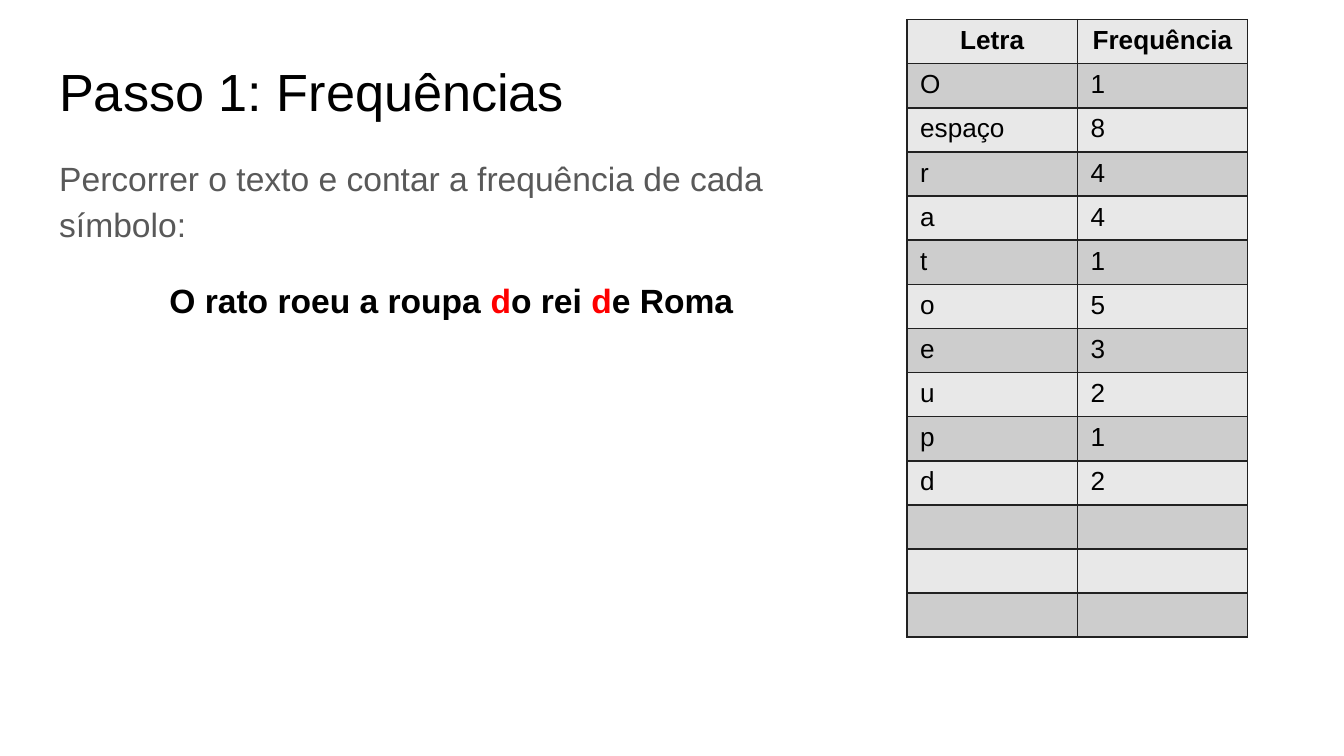
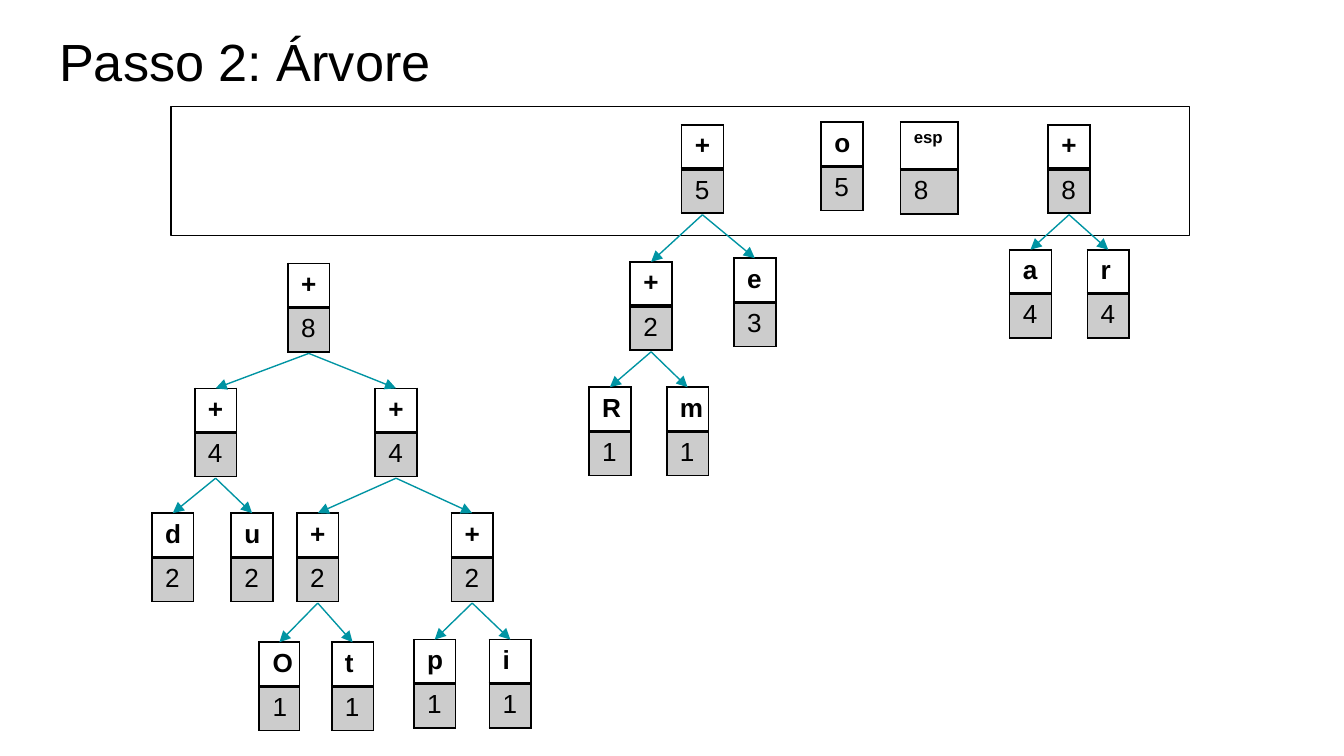
from dataclasses import dataclass

from lxml.etree import SubElement
from pptx import Presentation
from pptx.dml.color import RGBColor
from pptx.enum.shapes import MSO_CONNECTOR, MSO_SHAPE
from pptx.enum.text import MSO_ANCHOR, PP_ALIGN
from pptx.oxml.ns import qn
from pptx.util import Cm, Pt

COLORS = {
    "text": "000000",
    "body": "595959",
    "accent": "FF0000",
    "light": "E8E8E8",
    "dark": "CDCDCD",
    "grid": "212121",
    "arrow": "0094A3",
}
FONT = "Arial"
INSET = 0.25
ROW_HEIGHT = 0.81
NODE_WIDTH = 0.79
NODE_HEIGHT = 1.7

FREQUENCIES = [
    ("Letra", "Frequência"), ("O", "1"), ("espaço", "8"), ("r", "4"),
    ("a", "4"), ("t", "1"), ("o", "5"), ("e", "3"), ("u", "2"),
    ("p", "1"), ("d", "2"), ("", ""), ("", ""), ("", ""),
]


@dataclass
class Node:
    symbol: str
    count: int
    left: float
    top: float
    width: float = NODE_WIDTH
    children: tuple = ()

    @property
    def center(self):
        return self.left + self.width / 2


LEAVES = {
    leaf.symbol: leaf for leaf in (
        Node("O", 1, 4.9, 12.14, 0.76), Node("t", 1, 6.27, 12.14),
        Node("p", 1, 7.82, 12.09), Node("i", 1, 9.25, 12.09),
        Node("R", 1, 11.13, 7.32), Node("m", 1, 12.6, 7.32),
        Node("d", 2, 2.87, 9.7), Node("u", 2, 4.37, 9.7),
        Node("e", 3, 13.87, 4.88),
        Node("a", 4, 19.08, 4.72), Node("r", 4, 20.55, 4.72),
        Node("o", 5, 15.52, 2.31), Node("esp", 8, 17.02, 2.31, 1.09),
    )
}


def color(name):
    return RGBColor.from_string(COLORS[name])


def style_span(span, size, name="text", bold=False):
    span.font.name = FONT
    span.font.size = Pt(size)
    span.font.bold = bold
    span.font.color.rgb = color(name)


def add_text_box(page, left, top, width, height):
    box = page.shapes.add_textbox(Cm(left), Cm(top), Cm(width), Cm(height))
    frame = box.text_frame
    frame.word_wrap = True
    frame.vertical_anchor = MSO_ANCHOR.TOP
    frame.margin_left = frame.margin_right = Cm(INSET)
    frame.margin_top = frame.margin_bottom = Cm(INSET)
    return frame


def add_title(page, text, top):
    frame = add_text_box(page, 0.87, top, 23.67, 1.6)
    frame.text = text
    style_span(frame.paragraphs[0].runs[0], 28)


def set_borders(cell, name, bottom=1):
    """Borders come before the fill in the cell properties."""
    properties = cell._tc.get_or_add_tcPr()
    for side, width in (("L", 1), ("R", 1), ("T", 1), ("B", bottom)):
        line = SubElement(properties, qn(f"a:ln{side}"), w=str(Pt(width)))
        fill = SubElement(line, qn("a:solidFill"))
        SubElement(fill, qn("a:srgbClr"), val=COLORS[name])


def fill_cell(cell, name, opacity=100):
    cell.fill.solid()
    cell.fill.fore_color.rgb = color(name)
    if opacity < 100:
        value = cell._tc.tcPr.find(f"{qn('a:solidFill')}/{qn('a:srgbClr')}")
        SubElement(value, qn("a:alpha"), val=str(opacity * 1000))


def write_cell(cell, text, size=14, bold=False):
    cell.margin_left = cell.margin_right = Cm(INSET)
    cell.margin_top = cell.margin_bottom = Cm(0.12)
    paragraph = cell.text_frame.paragraphs[0]
    if text:
        paragraph.text = text
        style_span(paragraph.runs[0], size, bold=bold)
    else:
        # An empty cell keeps its row low through the end mark's size
        SubElement(paragraph._p, qn("a:endParaRPr"), sz=str(size * 100))


def add_plain_table(page, rows, columns, left, top, width, height):
    holder = page.shapes.add_table(rows, columns, Cm(left), Cm(top), Cm(width), Cm(height))
    table = holder.table
    table.first_row = table.horz_banding = False
    for row in table.rows:
        row.height = Cm(ROW_HEIGHT)
    holder.height = Cm(height)
    return table


def add_frequency_table(page):
    table = add_plain_table(page, len(FREQUENCIES), 2, 17.14, 0.37, 6.44, 11.86)
    for row, texts in enumerate(FREQUENCIES):
        for column, text in enumerate(texts):
            cell = table.cell(row, column)
            write_cell(cell, text, bold=row == 0)
            if row == 0:
                cell.text_frame.paragraphs[0].alignment = PP_ALIGN.CENTER
            set_borders(cell, "grid")
            fill_cell(cell, "dark" if row % 2 else "light")


def add_arrow(page, start, end):
    arrow = page.shapes.add_connector(MSO_CONNECTOR.STRAIGHT, *map(Cm, start + end))
    arrow.line.color.rgb = color("arrow")
    arrow.line.width = Pt(0.75)
    SubElement(arrow.line._get_or_add_ln(), qn("a:tailEnd"), type="triangle")
    SubElement(arrow._element.spPr, qn("a:effectLst"))


def add_node(page, node):
    wide = len(node.symbol) > 1
    table = add_plain_table(page, 2, 1, node.left, node.top, node.width, NODE_HEIGHT)
    if wide:
        table.rows[0].height = Cm(0.9)
    symbol, count = table.cell(0, 0), table.cell(1, 0)
    write_cell(symbol, node.symbol, 9 if wide else 14, bold=True)
    set_borders(symbol, "text", bottom=2)
    symbol.fill.background()
    write_cell(count, str(node.count))
    set_borders(count, "text")
    fill_cell(count, "text", opacity=20)
    for child in node.children:
        add_arrow(page, (node.center, node.top + NODE_HEIGHT), (child.center, child.top))


def join(left, top, first, second):
    """Parent node whose count is the sum of its two children."""
    return Node("+", first.count + second.count, left, top, children=(second, first))


def add_queue_frame(page):
    queue = page.shapes.add_shape(MSO_SHAPE.RECTANGLE, Cm(3.23), Cm(2.01), Cm(19.25), Cm(2.44))
    queue.shadow.inherit = False
    queue.fill.background()
    queue.line.color.rgb = color("text")
    queue.line.width = Pt(0.75)


def build_frequencies(page):
    add_title(page, "Passo 1: Frequências", 0.87)
    frame = add_text_box(page, 0.87, 2.62, 15.32, 11.66)
    frame.text = "Percorrer o texto e contar a frequência de cada símbolo:"
    intro = frame.paragraphs[0]
    intro.line_spacing = 1.15
    style_span(intro.runs[0], 18, "body")

    # Sample sentence with the current letter in red
    sentence = frame.add_paragraph()
    sentence.alignment = PP_ALIGN.CENTER
    sentence.line_spacing = 1.15
    sentence.space_before = Pt(16)
    for text in ("O rato roeu a roupa ", "d", "o rei ", "d", "e Roma"):
        span = sentence.add_run()
        span.text = text
        style_span(span, 18, "accent" if text == "d" else "text", bold=True)
    add_frequency_table(page)


def build_tree(page):
    add_title(page, "Passo 2: Árvore", 0.3)
    for leaf in LEAVES.values():
        add_node(page, leaf)
    add_queue_frame(page)

    # Joined nodes, from the lowest level up
    node_ot = join(5.61, 9.7, LEAVES["O"], LEAVES["t"])
    node_pi = join(8.53, 9.7, LEAVES["p"], LEAVES["i"])
    node_rm = join(11.91, 4.95, LEAVES["R"], LEAVES["m"])
    node_du = join(3.68, 7.34, LEAVES["d"], LEAVES["u"])
    node_otpi = join(7.09, 7.34, node_ot, node_pi)
    node_rme = join(12.88, 2.36, node_rm, LEAVES["e"])
    node_ar = join(19.81, 2.36, LEAVES["a"], LEAVES["r"])
    node_left = join(5.44, 4.98, node_du, node_otpi)
    for node in (node_ot, node_pi, node_rm, node_du, node_otpi, node_rme, node_ar, node_left):
        add_node(page, node)


def main():
    deck = Presentation()
    deck.slide_width, deck.slide_height = Cm(25.4), Cm(14.29)
    for build in (build_frequencies, build_tree):
        build(deck.slides.add_slide(deck.slide_layouts[6]))
    deck.save("out.pptx")


if __name__ == "__main__":
    main()
